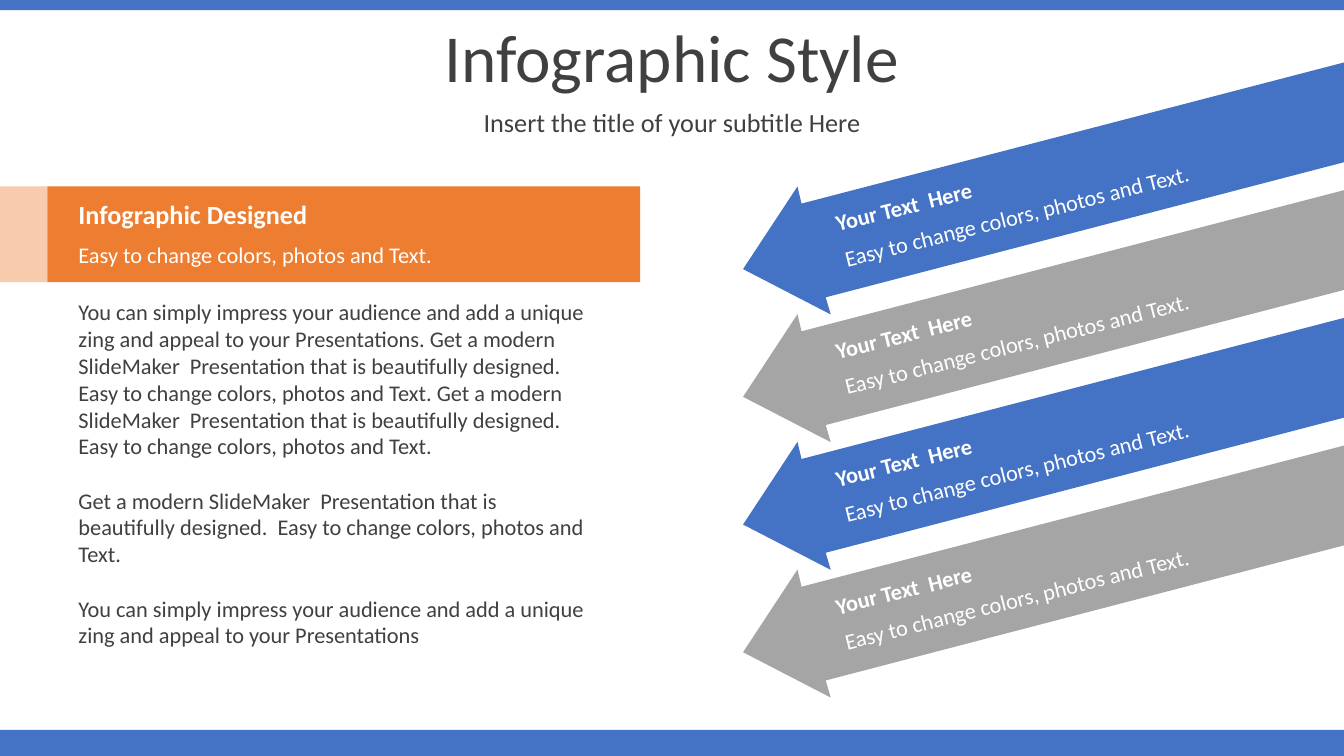
from pptx import Presentation
from pptx.dml.color import RGBColor
from pptx.enum.shapes import MSO_SHAPE
from pptx.enum.text import MSO_ANCHOR, PP_ALIGN
from pptx.oxml.ns import qn
from pptx.util import Inches, Pt
from lxml import etree

# Content
COLORS = {"blue": "4472C4", "orange": "ED7D31", "gray": "A5A5A5",
          "dark": "404040", "white": "FFFFFF"}
FONT = "Calibri"
TITLE = "Infographic Style"
SUBTITLE = "Insert the title of your subtitle Here"
BANNER_HEAD = "Infographic Designed"
EASY = "Easy to change colors, photos and Text."
IMPRESS = "You can simply impress your audience and add a unique zing and appeal to your Presentations"
MODERN = f"Get a modern SlideMaker  Presentation that is beautifully designed.  {EASY}"
BODY = [f"{IMPRESS}. {MODERN} {MODERN}", MODERN, IMPRESS]
ARROW_HEAD = "Your Text  Here"
ARROWS = ["blue", "gray", "blue", "gray"]

# Layout, in inches
W, H = 13.33, 7.5
TAB_W, BANNER_Y, BANNER_W, BANNER_H = 0.47, 1.85, 5.88, 0.95
TEXT_X, TEXT_W = 0.68, 4.72
ARROW_STEP, TILT = 1.267, -14
ARROW_POINTS = [(W, 0.62), (W, 1.61), (8.19, 2.95), (8.24, 3.12),
                (7.37, 2.67), (7.91, 1.85), (7.95, 2.02)]

prs = Presentation()
prs.slide_width, prs.slide_height = Inches(W), Inches(H)
s = prs.slides.add_slide(prs.slide_layouts[6])


def paint(sp, color):
    sp.shadow.inherit = False
    sp.fill.solid()
    sp.fill.fore_color.rgb = RGBColor.from_string(COLORS[color])
    sp.line.fill.background()


def add_rect(x, y, w, h, color):
    sp = s.shapes.add_shape(MSO_SHAPE.RECTANGLE, *map(Inches, (x, y, w, h)))
    paint(sp, color)
    return sp


def add_text(x, y, w, h, paragraphs, size=16, color="white", bold=False, gap=0):
    sp = s.shapes.add_textbox(*map(Inches, (x, y, w, h)))
    tf = sp.text_frame
    tf.word_wrap = True
    for i, text in enumerate(paragraphs):
        p = tf.paragraphs[0] if i == 0 else tf.add_paragraph()
        p.space_before = Pt(gap if i else 0)
        r = p.add_run()
        r.text = text
        r.font.name, r.font.size, r.font.bold = FONT, Pt(size), bold
        r.font.color.rgb = RGBColor.from_string(COLORS[color])
    return sp


# Top and bottom bars
add_rect(0, H - 0.26, W, 0.26, "blue")
add_rect(0, 0, W, 0.1, "blue")

# Title and subtitle
for text, y, h, size in [(TITLE, 0.18, 0.84, 48), (SUBTITLE, 1.02, 0.42, 18.7)]:
    tf = add_text(0, y, W, h, [text], size, "dark").text_frame
    tf.vertical_anchor = MSO_ANCHOR.MIDDLE
    tf.paragraphs[0].alignment = PP_ALIGN.CENTER
    tf.paragraphs[0].line_spacing = 0.9

# Banner with a translucent tab
add_rect(TAB_W, BANNER_Y, BANNER_W, BANNER_H, "orange")
tab = add_rect(0, BANNER_Y, TAB_W, BANNER_H, "orange")
tab_color = tab.fill._xPr.find(qn("a:solidFill"))[0]
etree.SubElement(tab_color, qn("a:alpha")).set("val", "40000")
add_text(TEXT_X, 1.92, TEXT_W, 0.42, [BANNER_HEAD], 18.7, bold=True)
add_text(TEXT_X, 2.34, TEXT_W, 0.37, [EASY])

# Body text, one line of space between paragraphs
add_text(TEXT_X, 2.91, 5.25, 3.6, BODY, color="dark", gap=19.5)

# Tilted arrows with captions
for i, color in enumerate(ARROWS):
    dy = i * ARROW_STEP
    points = [(Inches(x), Inches(y + dy)) for x, y in ARROW_POINTS]
    fb = s.shapes.build_freeform(*points[0])
    fb.add_line_segments(points[1:], close=True)
    paint(fb.convert_to_shape(), color)
    for text, x, y, bold in [(EASY, 8.22, 1.86, False), (ARROW_HEAD, 8.13, 1.51, True)]:
        add_text(x, y + dy, 4.51, 0.37, [text], bold=bold).rotation = TILT

prs.save("out.pptx")
